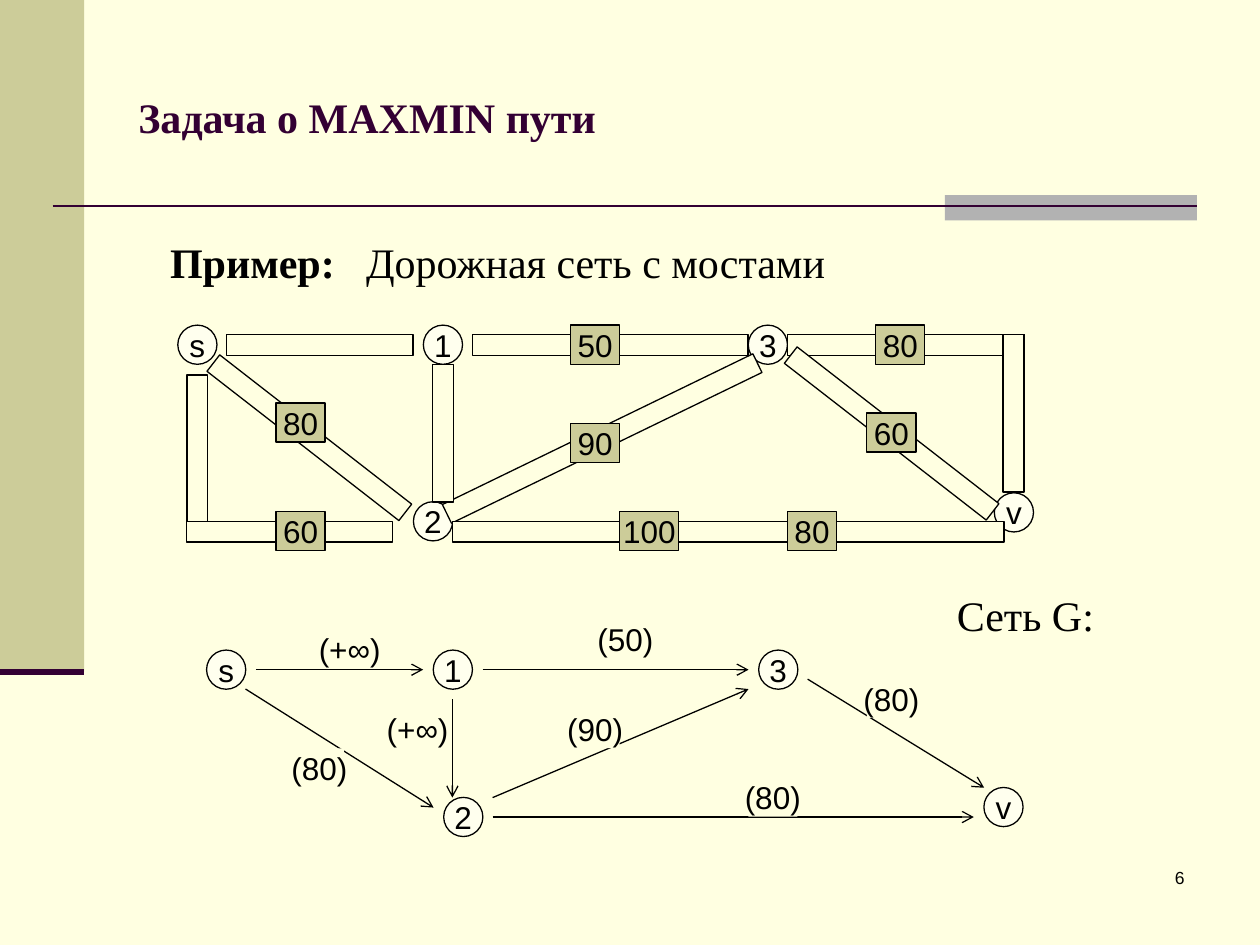
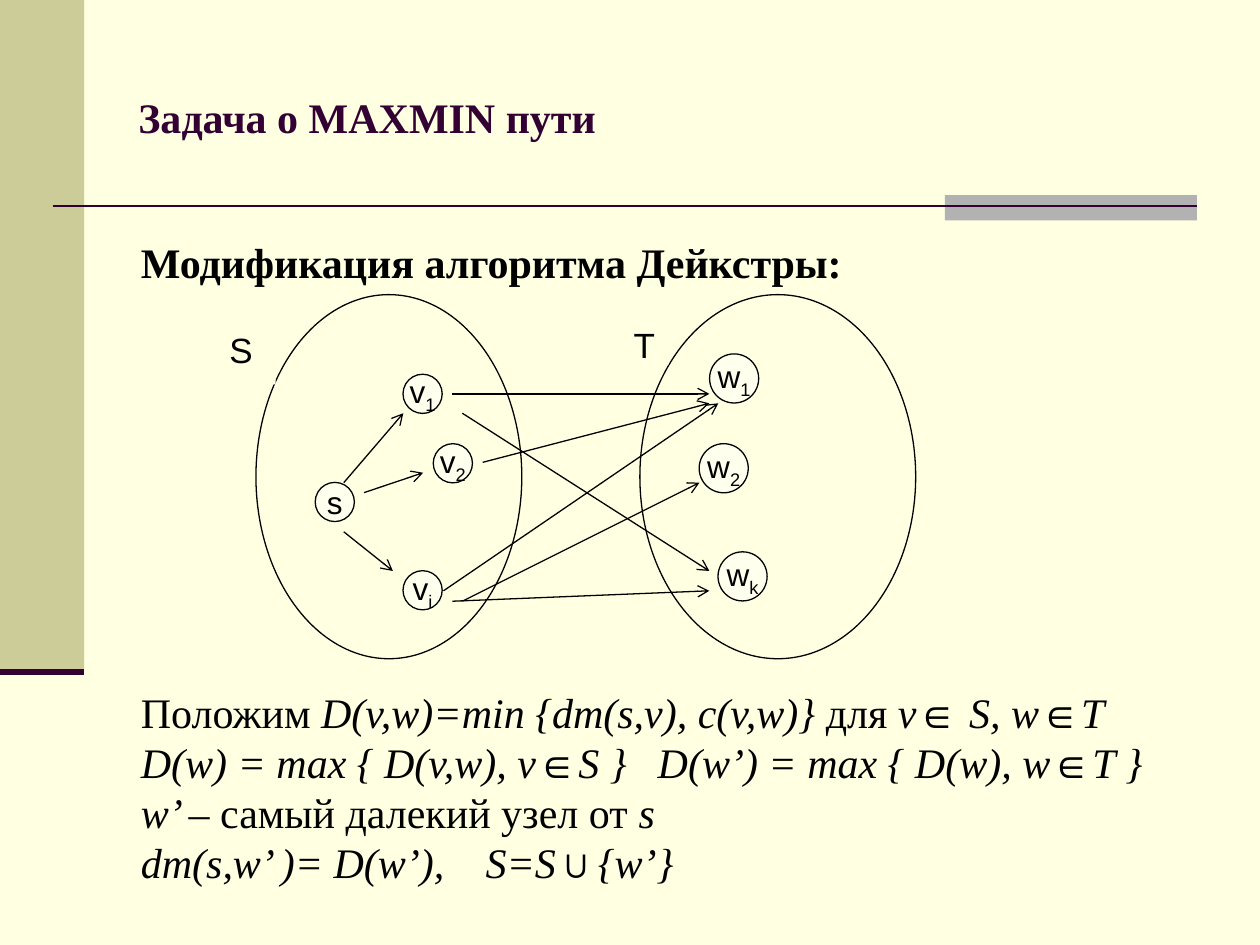
from math import atan2, degrees, hypot

from lxml.etree import SubElement
from pptx import Presentation
from pptx.dml.color import RGBColor
from pptx.enum.shapes import MSO_CONNECTOR, MSO_SHAPE as Preset
from pptx.enum.text import MSO_ANCHOR as Anchor, PP_ALIGN as Align
from pptx.oxml.ns import qn
from pptx.util import Cm, Pt

PAPER, NODE, KHAKI = "FFFFE1", "FFFFEE", "CCCC99"
GREY, PLUM, BLACK = "B2B2B2", "330033", "000000"
SERIF, SANS = "Times New Roman", "Arial"
ROAD_WIDTH = 0.42
NODE_SIZE, WIDE_NODE = 0.79, 0.99
PLATE_WIDTH, LABEL_HEIGHT = 0.99, 0.79


def color(hex_code):
    return RGBColor.from_string(hex_code)


def style_font(font, size, name, hex_code=BLACK):
    font.size, font.name = Pt(size), name
    font.color.rgb = color(hex_code)


def add_spans(para, spans):
    """Add (text, style) runs; the style letters are b(old), i(talic), s(ubscript)."""
    for text, style in spans:
        span = para.add_run()
        span.text = text
        if "b" in style:
            span.font.bold = True
        if "i" in style:
            span.font.italic = True
        if "s" in style:
            span._r.get_or_add_rPr().set("baseline", "-25000")


def starred(text):
    """Turn text into spans, with the parts between stars in italics."""
    parts = text.split("*")
    return [(part, "i" if i % 2 else "") for i, part in enumerate(parts) if part]


def add_tab_stop(para, position):
    tabs = SubElement(para._p.get_or_add_pPr(), qn("a:tabLst"))
    SubElement(tabs, qn("a:tab"), pos=str(Cm(position)), algn="l")


def add_text(page, left, top, width, height, lines, size=24, name=SERIF,
             hex_code=BLACK, align=Align.LEFT, anchor=Anchor.TOP, pitch=None):
    """Add a text box; each line is a pair of spans and tab position (or None)."""
    box = page.shapes.add_textbox(Cm(left), Cm(top), Cm(width), Cm(height))
    frame = box.text_frame
    frame.word_wrap = True
    frame.vertical_anchor = anchor
    for i, (spans, tab) in enumerate(lines):
        para = frame.add_paragraph() if i else frame.paragraphs[0]
        if tab:
            add_tab_stop(para, tab)
        para.alignment = align
        if pitch:
            para.line_spacing = Pt(pitch)
        style_font(para.font, size, name, hex_code)
        add_spans(para, spans)


def add_figure(page, preset, x, y, width, height, fill=None, line=BLACK,
               spans=(), size=18):
    """Add a preset shape centred on (x, y)."""
    shape = page.shapes.add_shape(preset, Cm(x - width / 2), Cm(y - height / 2),
                                  Cm(width), Cm(height))
    shape.shadow.inherit = False
    if fill:
        shape.fill.solid()
        shape.fill.fore_color.rgb = color(fill)
    else:
        shape.fill.background()
    if line:
        shape.line.color.rgb = color(line)
        shape.line.width = Pt(0.75)
    else:
        shape.line.fill.background()
    if spans:
        frame = shape.text_frame
        frame.word_wrap = False
        frame.vertical_anchor = Anchor.MIDDLE
        frame.margin_left = frame.margin_right = 0
        frame.margin_top = frame.margin_bottom = 0
        para = frame.paragraphs[0]
        para.alignment = Align.CENTER
        style_font(para.font, size, SANS)
        add_spans(para, spans)
    return shape


def add_node(page, name, x, y, size=NODE_SIZE):
    """Add a graph node; a second letter of its name is a subscript."""
    spans = [(name[0], "")] + [(index, "s") for index in name[1:]]
    add_figure(page, Preset.FLOWCHART_CONNECTOR, x, y, size, size, NODE, spans=spans)


def add_road(page, x1, y1, x2, y2):
    road = add_figure(page, Preset.RECTANGLE, (x1 + x2) / 2, (y1 + y2) / 2,
                      hypot(x2 - x1, y2 - y1), ROAD_WIDTH, PAPER)
    road.rotation = degrees(atan2(y2 - y1, x2 - x1))


def add_plate(page, text, x, y, width=PLATE_WIDTH):
    add_figure(page, Preset.RECTANGLE, x, y, width, LABEL_HEIGHT, KHAKI,
               spans=[(text, "")])


def add_label(page, text, x, y, width=PLATE_WIDTH, height=LABEL_HEIGHT, size=18):
    add_figure(page, Preset.RECTANGLE, x, y, width, height, PAPER, None,
               [(text, "")], size)


def add_line(page, x1, y1, x2, y2, hex_code=BLACK, width=0.75):
    line = page.shapes.add_connector(MSO_CONNECTOR.STRAIGHT,
                                     Cm(x1), Cm(y1), Cm(x2), Cm(y2))
    line.line.color.rgb = color(hex_code)
    line.line.width = Pt(width)
    SubElement(line._element.spPr, qn("a:effectLst"))
    return line


def add_arrow(page, *ends):
    arrow = add_line(page, *ends)
    SubElement(arrow.line._get_or_add_ln(), qn("a:tailEnd"), type="arrow")


def add_page(deck):
    """Add a slide with the shared background, bands and title."""
    page = deck.slides.add_slide(deck.slide_layouts[6])
    page.background.fill.solid()
    page.background.fill.fore_color.rgb = color(PAPER)
    add_figure(page, Preset.RECTANGLE, 0.85, 6.77, 1.7, 13.54, KHAKI, None)
    add_figure(page, Preset.RECTANGLE, 21.59, 4.19, 5.08, 0.51, GREY, None)
    add_line(page, 1.06, 4.15, 24.13, 4.15, PLUM, 1.5)
    add_line(page, 0, 13.55, 1.7, 13.55, PLUM, 3.5)
    add_text(page, 2.54, 0.76, 21.59, 3.18, [([("Задача о MAXMIN пути", "b")], None)],
             hex_code=PLUM, anchor=Anchor.MIDDLE)
    return page


def draw_road_map(page):
    for node in (("s", 3.98, 6.95), ("1", 8.93, 6.95), ("2", 8.73, 10.51),
                 ("3", 15.48, 6.95), ("v", 20.44, 10.33)):
        add_node(page, *node)
    for ends in ((4.57, 6.96, 8.33, 6.96), (9.53, 6.96, 15.08, 6.96),
                 (4.3, 7.32, 8.17, 10.33), (3.98, 7.56, 3.98, 10.53),
                 (3.76, 10.72, 7.92, 10.72), (9.01, 10.36, 15.27, 7.32),
                 (15.88, 6.96, 20.65, 6.96), (20.43, 6.74, 20.43, 9.92),
                 (15.94, 7.16, 20.01, 10.32), (9.12, 10.72, 20.24, 10.72),
                 (8.93, 7.35, 8.93, 10.12)):
        add_road(page, *ends)
    for plate in (("80", 18.15, 6.95), ("60", 17.97, 8.72), ("80", 16.37, 10.71),
                  ("100", 13.09, 10.71, 1.19), ("90", 12, 8.93), ("50", 12, 6.95),
                  ("60", 6.06, 10.71), ("80", 6.06, 8.52)):
        add_plate(page, *plate)


def draw_network(page):
    for node in (("s", 4.56, 13.5), ("1", 9.13, 13.5), ("3", 15.69, 13.5),
                 ("2", 9.34, 16.47), ("v", 20.23, 16.27)):
        add_node(page, *node)
    for ends in ((5.16, 13.5, 8.53, 13.5), (9.73, 13.5, 15.09, 13.5),
                 (4.95, 13.89, 8.74, 16.28), (9.93, 16.47, 19.63, 16.47),
                 (9.93, 16.08, 15.09, 13.89), (16.28, 13.69, 19.84, 15.88),
                 (9.12, 14.1, 9.12, 16.08)):
        add_arrow(page, *ends)
    for label in (("(+∞)", 7.05, 13.09), ("(80)", 6.44, 15.48), ("(50)", 12.61, 12.89),
                  ("(90)", 12, 14.69), ("(80)", 15.58, 16.07), ("(80)", 17.97, 14.08),
                  ("(+∞)", 8.42, 14.69)):
        add_label(page, *label)


def draw_node_sets(page):
    add_figure(page, Preset.OVAL, 7.84, 9.61, 5.36, 7.34)
    add_figure(page, Preset.OVAL, 15.68, 9.61, 5.56, 7.34)
    add_label(page, "S", 4.86, 7.05, 1.4, 1.4, 20)
    add_label(page, "T", 12.99, 6.95, size=20)
    for node in (("s", 6.75, 10.12), ("v1", 8.52, 7.94), ("v2", 9.13, 9.34),
                 ("vi", 8.52, 11.9), ("w1", 14.8, 7.63, WIDE_NODE),
                 ("w2", 14.59, 9.44, WIDE_NODE), ("wk", 14.97, 11.62, WIDE_NODE)):
        add_node(page, *node)
    for ends in ((9.12, 7.94, 14.3, 7.94), (6.93, 9.73, 8.13, 8.33),
                 (7.34, 9.93, 8.53, 9.53), (6.93, 10.72, 7.92, 11.51),
                 (9.32, 8.33, 14.3, 11.51), (9.73, 9.32, 14.3, 8.13),
                 (8.94, 11.91, 14.48, 8.13), (9.32, 12.12, 14.1, 9.73),
                 (9.12, 12.12, 14.3, 11.91)):
        add_arrow(page, *ends)


def main():
    deck = Presentation()
    deck.slide_width, deck.slide_height = Cm(25.4), Cm(19.05)

    page = add_page(deck)
    add_text(page, 3.18, 4.65, 21.59, 1.2,
             [([("Пример:\t", "b"), ("Дорожная сеть с мостами", "")], 3.95)])
    draw_road_map(page)
    add_text(page, 19.04, 11.76, 5, 1.2, [([("Сеть G:", "")], None)])
    draw_network(page)
    add_text(page, 18.85, 17.35, 5.28, 1.27, [([("6", "")], None)], 10, SANS,
             align=Align.RIGHT)

    page = add_page(deck)
    add_text(page, 2.59, 4.65, 21.59, 1.2,
             [([("Модификация алгоритма Дейкстры:", "b")], None)])
    draw_node_sets(page)
    formulas = (
        ("Положим *D(v,w)=min {dm(s,v), c(v,w)} *для *v*∈* S, w*∈*T*", None),
        ("*D(w) = max { D(v,w), v*∈*S }\tD(w’) = max { D(w), w*∈*T }*", 10.42),
        ("*w’ – *самый далекий узел от *s*", None),
        ("*dm(s,w’ )= D(w’),\tS=S*∪*{w’}*", 6.95),
    )
    add_text(page, 2.59, 13.72, 21.9, 4.4,
             [(starred(text), tab) for text, tab in formulas], pitch=28.6)

    deck.save("out.pptx")


if __name__ == "__main__":
    main()
